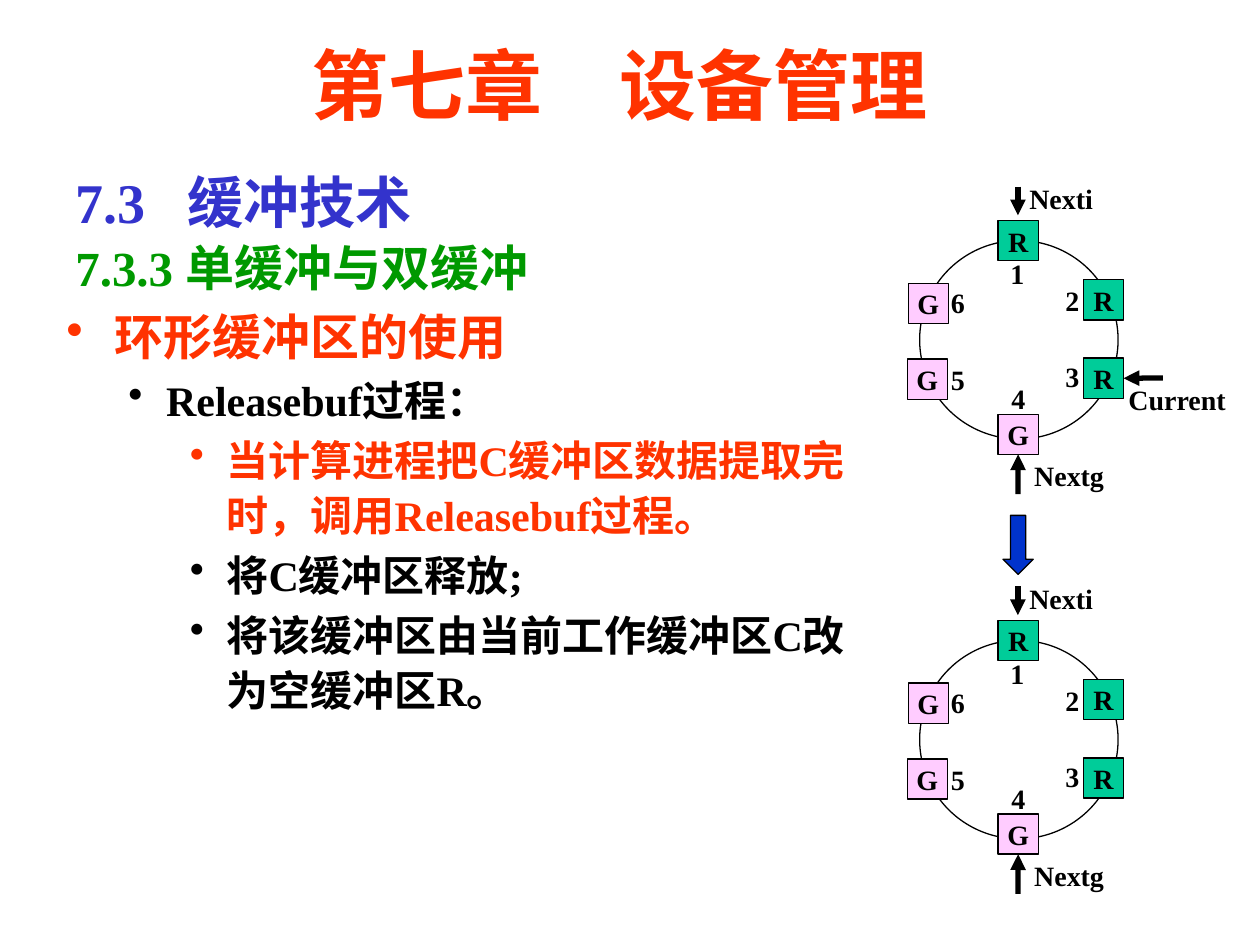
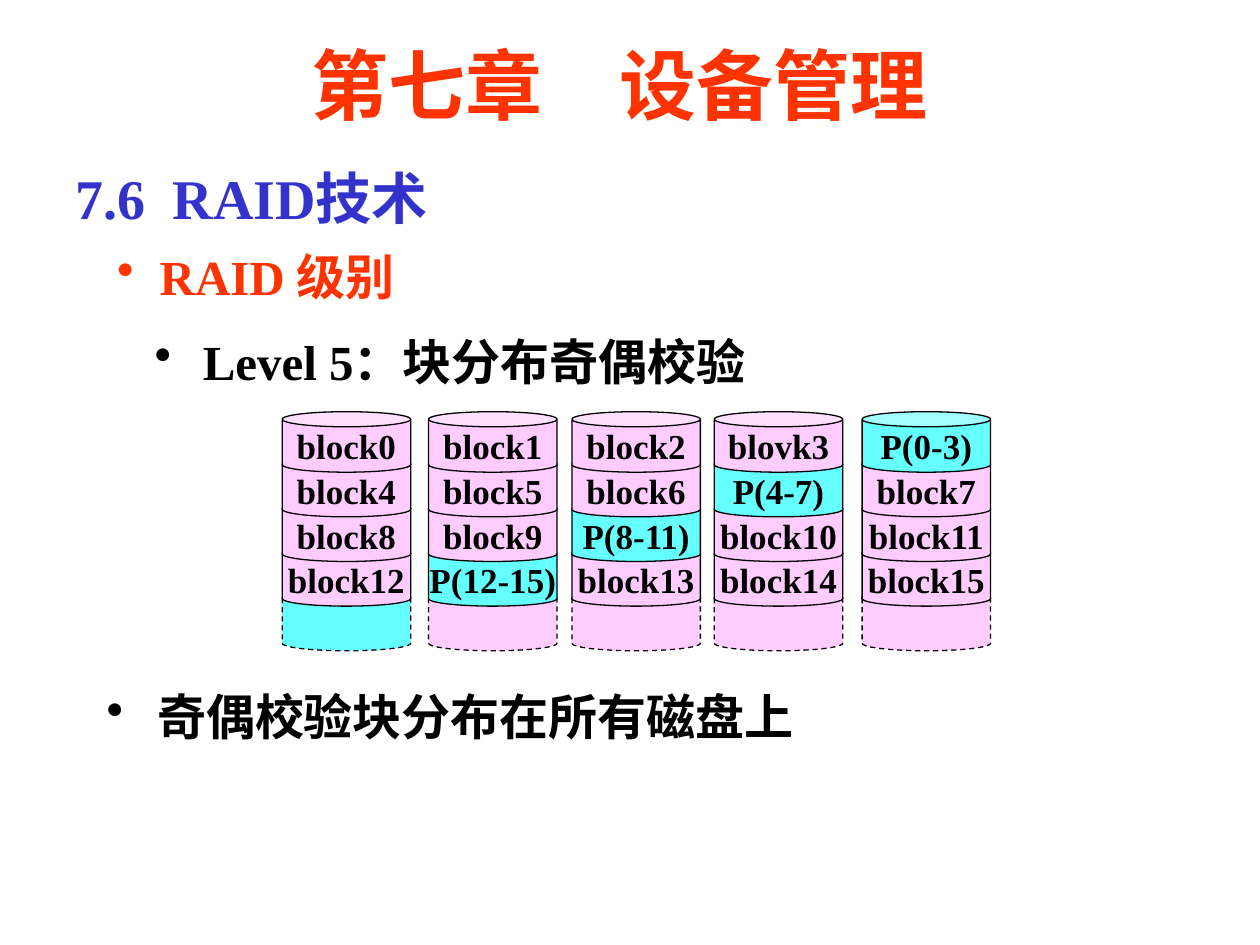
"""Build two lecture slides on device management: ring buffers and RAID level 5."""
import lxml.etree
import pptx
import pptx.dml.color
import pptx.enum.dml
import pptx.enum.shapes
import pptx.enum.text
import pptx.oxml.ns
import pptx.util

Cm = pptx.util.Cm
Pt = pptx.util.Pt
qn = pptx.oxml.ns.qn
SHAPES = pptx.enum.shapes.MSO_SHAPE
ANCHOR = pptx.enum.text.MSO_ANCHOR
ALIGN = pptx.enum.text.PP_ALIGN
FONT = "Times New Roman"
COLORS = {
    "red": "FF3300", "indigo": "3333CC", "green": "009900", "black": "000000",
    "teal": "00CC99", "pink": "FFCCFF", "cyan": "66FFFF", "blue": "0033CC",
}


def add_text(slide, box, lines, spacing=1.0, before=0.0, anchor=ANCHOR.TOP, align=ALIGN.LEFT):
    """Add a text box; each line is text, size, color, then optional margin, hanging and tab in cm."""
    frame = slide.shapes.add_textbox(*map(Cm, box)).text_frame
    frame.word_wrap = True
    frame.vertical_anchor = anchor
    for index, (text, size, color, *layout) in enumerate(lines):
        margin, hanging, tab = (layout + [0, 0, 0])[:3]
        paragraph = frame.paragraphs[0] if index == 0 else frame.add_paragraph()
        paragraph.text = text
        paragraph.alignment = align
        paragraph.line_spacing = spacing
        if index and before:
            paragraph.space_before = Pt(size * before)
        properties = paragraph._p.get_or_add_pPr()
        if hanging:
            properties.set("marL", str(Cm(margin)))
            properties.set("indent", str(-Cm(hanging)))
            bullet_color = lxml.etree.SubElement(properties, qn("a:buClr"))
            lxml.etree.SubElement(bullet_color, qn("a:srgbClr"), val=COLORS[color])
            lxml.etree.SubElement(properties, qn("a:buChar"), char="•")
        if tab:
            tabs = lxml.etree.SubElement(properties, qn("a:tabLst"))
            lxml.etree.SubElement(tabs, qn("a:tab"), pos=str(Cm(tab)), algn="l")
        paragraph.font.name = FONT
        paragraph.font.size = Pt(size)
        paragraph.font.bold = True
        paragraph.font.color.rgb = pptx.dml.color.RGBColor.from_string(COLORS[color])


def add_shape(slide, kind, box, fill=None, text="", size=16):
    """Add a thinly outlined shape with an optional fill and centred label."""
    shape = slide.shapes.add_shape(kind, *map(Cm, box))
    shape.shadow.inherit = False
    if fill:
        shape.fill.solid()
        shape.fill.fore_color.rgb = pptx.dml.color.RGBColor.from_string(COLORS[fill])
    else:
        shape.fill.background()
    shape.line.color.rgb = pptx.dml.color.RGBColor.from_string(COLORS["black"])
    shape.line.width = Pt(0.75)
    if text:
        shape.text_frame.word_wrap = False
        shape.text_frame.vertical_anchor = ANCHOR.MIDDLE
        paragraph = shape.text_frame.paragraphs[0]
        paragraph.text = text
        paragraph.alignment = ALIGN.CENTER
        paragraph.font.name = FONT
        paragraph.font.size = Pt(size)
        paragraph.font.bold = True
        paragraph.font.color.rgb = pptx.dml.color.RGBColor.from_string(COLORS["black"])
    return shape


presentation = pptx.Presentation()
presentation.slide_width = Cm(25.4)
presentation.slide_height = Cm(19.05)
blank_layout = presentation.slide_layouts[6]
ring_slide = presentation.slides.add_slide(blank_layout)
raid_slide = presentation.slides.add_slide(blank_layout)
for slide in (ring_slide, raid_slide):
    add_text(slide, (2.97, 0.64, 19.05, 2.11), [("第七章　设备管理", 44, "red")],
             anchor=ANCHOR.MIDDLE, align=ALIGN.CENTER)

add_text(ring_slide, (1.27, 3.18, 22.86, 2.92), [
    ("7.3\t缓冲技术", 32, "indigo", 0, 0, 2.26),
    ("7.3.3 单缓冲与双缓冲", 28, "green"),
], spacing=1.05)
add_text(ring_slide, (1.09, 5.94, 16.79, 8.97), [
    ("环形缓冲区的使用", 28, "red", 0.97, 0.97),
    ("Releasebuf过程：", 24, "black", 2.01, 0.76),
    ("当计算进程把C缓冲区数据提取完时，调用Releasebuf过程。", 24, "red", 3.23, 0.74),
    ("将C缓冲区释放;", 24, "black", 3.23, 0.74),
    ("将该缓冲区由当前工作缓冲区C改为空缓冲区R。", 24, "black", 3.23, 0.74),
], spacing=1.1, before=0.1)

BUFFER_SIDE = 0.81
POINTER_X = 20.52
buffers = [
    ("R", 20.12, 4.45, 20.12, 5.05),
    ("R", 21.84, 5.64, 21.23, 5.59),
    ("R", 21.84, 7.22, 21.23, 7.13),
    ("G", 20.12, 8.35, 20.14, 7.57),
    ("G", 18.29, 7.24, 18.92, 7.19),
    ("G", 18.31, 5.71, 18.92, 5.63),
]
for ring_top, has_current in ((0, True), (8.06, False)):
    add_shape(ring_slide, SHAPES.OVAL, (18.54, 4.85 + ring_top, 4, 4))
    squares = []
    for number, (state, left, top, label_left, label_top) in enumerate(buffers, 1):
        squares.append(add_shape(ring_slide, SHAPES.RECTANGLE,
                                 (left, top + ring_top, BUFFER_SIDE, BUFFER_SIDE),
                                 "teal" if state == "R" else "pink", state))
        add_text(ring_slide, (label_left, label_top + ring_top, 0.9, 0.94),
                 [(str(number), 16, "black")])
    pointers = [
        ("Nexti", 20.5, 3.53, (POINTER_X, 3.76), (POINTER_X, 4.34), None, None),
        ("Nextg", 20.6, 9.12, (POINTER_X, 9.96), (POINTER_X, 9.16), squares[3], 2),
    ]
    if has_current:
        pointers.append(("Current", 22.5, 7.59, (23.44, 7.62), (22.65, 7.62), squares[2], 3))
    for name, left, top, start, end, target, side in pointers:
        add_text(ring_slide, (left, top + ring_top, 2.7, 0.94), [(name, 16, "black")])
        arrow = ring_slide.shapes.add_connector(
            pptx.enum.shapes.MSO_CONNECTOR.STRAIGHT,
            Cm(start[0]), Cm(start[1] + ring_top), Cm(end[0]), Cm(end[1] + ring_top))
        if target is not None:
            arrow.end_connect(target, side)
        arrow.line.width = Pt(3)
        arrow.line.color.rgb = pptx.dml.color.RGBColor.from_string(COLORS["black"])
        lxml.etree.SubElement(arrow.line._get_or_add_ln(), qn("a:tailEnd"), type="triangle")
        lxml.etree.SubElement(arrow._element.spPr, qn("a:effectLst"))
add_shape(ring_slide, SHAPES.DOWN_ARROW, (20.22, 10.39, 0.61, 1.19), "blue")

add_text(raid_slide, (1.27, 3.18, 22.66, 1.6), [("7.6\tRAID技术", 32, "indigo", 0, 0, 1.96)])
add_text(raid_slide, (2.11, 4.5, 11.61, 2.11), [("RAID 级别", 28, "red", 0.86, 0.86)],
         anchor=ANCHOR.MIDDLE)
add_text(raid_slide, (2.87, 6.5, 21.84, 1.6),
         [("Level 5：块分布奇偶校验", 28, "black", 0.97, 0.97)], spacing=1.05)
add_text(raid_slide, (1.9, 13.72, 21, 1.45),
         [("奇偶校验块分布在所有磁盘上", 28, "black", 1.02, 1.02)])

disk_lefts = [5.69, 8.64, 11.53, 14.4, 17.38]
stripes = [
    ["block0", "block1", "block2", "blovk3", "P(0-3)"],
    ["block4", "block5", "block6", "P(4-7)", "block7"],
    ["block8", "block9", "P(8-11)", "block10", "block11"],
    ["block12", "P(12-15)", "block13", "block14", "block15"],
    [""] * 5,
]
for disk, left in enumerate(disk_lefts):
    for row in reversed(range(len(stripes))):
        is_parity = disk + row == len(disk_lefts) - 1
        can = add_shape(raid_slide, SHAPES.CAN, (left, 8.3 + 0.9 * row, 2.59, 1.22),
                        "cyan" if is_parity else "pink", stripes[row][disk], 20)
        can.adjustments[0] = 0.25
        if not stripes[row][disk]:
            can.line.dash_style = pptx.enum.dml.MSO_LINE.DASH

presentation.save("out.pptx")
